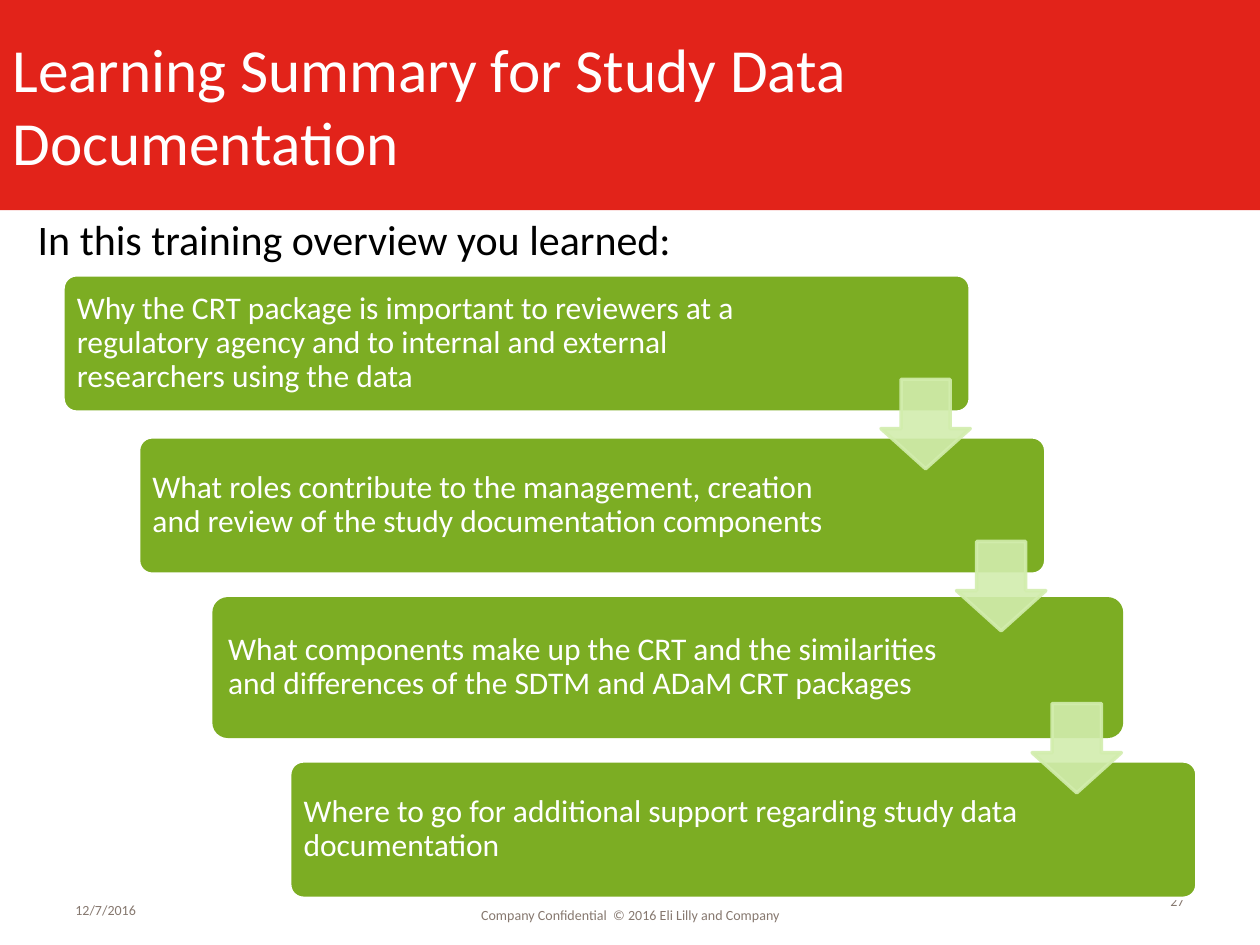
from dataclasses import dataclass

from lxml.etree import SubElement
from pptx import Presentation
from pptx.dml.color import RGBColor as Rgb
from pptx.enum.shapes import MSO_SHAPE as Kind
from pptx.enum.text import MSO_ANCHOR as Anchor, PP_ALIGN as Align
from pptx.oxml.ns import qn
from pptx.util import Cm, Pt


@dataclass(frozen=True)
class Theme:
    font: str = "Calibri"
    red: str = "E2231A"
    green: str = "7CAD23"
    pale: str = "D2EDAD"
    gray: str = "86786F"
    white: str = "FFFFFF"
    black: str = "000000"
    title: int = 35
    lead: int = 24
    step: int = 18
    foot: int = 8


T = Theme()
PAD = (0.25, 0.13, 0.25, 0.13)
STEPS = [
    "Why the CRT package is important to reviewers at a regulatory agency "
    "and to internal and external researchers using the data",
    "What roles contribute to the management, creation and review of the "
    "study documentation components",
    "What components make up the CRT and the similarities and differences "
    "of the SDTM and ADaM CRT packages",
    "Where to go for additional support regarding study data documentation",
]


def write(shape, text, size, color, align=Align.LEFT, anchor=Anchor.MIDDLE,
          pad=PAD, spacing=None):
    frame = shape.text_frame
    frame.word_wrap = True
    frame.vertical_anchor = anchor
    (frame.margin_left, frame.margin_top,
     frame.margin_right, frame.margin_bottom) = map(Cm, pad)
    para = frame.paragraphs[0]
    para.alignment = align
    para.line_spacing = spacing
    run = para.add_run()
    run.text = text
    font = run.font
    font.name, font.size = T.font, Pt(size)
    font.color.rgb = Rgb.from_string(color)


def label(slide, box, text, size, color, **style):
    write(slide.shapes.add_textbox(*map(Cm, box)), text, size, color, **style)


def draw(slide, kind, box, fill, line=None, alpha=None):
    shape = slide.shapes.add_shape(kind, *map(Cm, box))
    shape.shadow.inherit = False
    shape.fill.solid()
    shape.fill.fore_color.rgb = Rgb.from_string(fill)
    if line:
        shape.line.color.rgb = Rgb.from_string(line)
        shape.line.width = Pt(2)
    else:
        shape.line.fill.background()
    if alpha:
        for color in shape._element.spPr.iter(qn("a:srgbClr")):
            SubElement(color, qn("a:alpha"), val=str(alpha * 1000))
    return shape


def header(slide, box):
    x, y, w, h = box
    draw(slide, Kind.RECTANGLE, box, T.red)
    label(slide, (x, y + 0.2, 18.16, h - 0.43),
          "Learning Summary for Study Data Documentation", T.title, T.white)


def footer(slide, box):
    x, y, w, h = box
    side = 5.92
    label(slide, (x, y + 0.18, side, h), "12/7/2016", T.foot, T.gray)
    label(slide, (x + 7.42, y + 0.28, 8.05, h),
          "Company Confidential  © 2016 Eli Lilly and Company",
          T.foot, T.gray, align=Align.CENTER)
    label(slide, (x + w - side, y, side, h), "27", T.foot, T.gray,
          align=Align.RIGHT)


def stairs(slide, box):
    x, y, w, h = box
    wide, high, tip = 18.29, 2.77, 1.8
    last = len(STEPS) - 1
    dx, dy = (w - wide) / last, (h - high) / last
    # Lowest step first, so each arrow lies over the step it points to
    for i in reversed(range(len(STEPS))):
        left, top = x + i * dx, y + i * dy
        edge = T.green if i == 2 else T.white
        card = draw(slide, Kind.ROUNDED_RECTANGLE, (left, top, wide, high),
                    T.green, edge)
        card.adjustments[0] = 0.1
        write(card, STEPS[i], T.step, T.white, spacing=0.9,
              pad=(0.2, 0.2, 3.5 if i else 3.25, 0.2))
        if i < last:
            spot = (left + wide - tip, top + 2.11, tip, tip)
            arrow = draw(slide, Kind.DOWN_ARROW, spot, T.pale, T.pale, 90)
            arrow.adjustments[0] = 0.55
            arrow.adjustments[1] = 0.45


def main():
    deck = Presentation()
    deck.slide_width, deck.slide_height = Cm(25.4), Cm(19.05)
    slide = deck.slides.add_slide(deck.slide_layouts[6])
    header(slide, (0, 0, 25.4, 4.24))
    footer(slide, (1.27, 17.65, 22.86, 1.02))
    # Lead line above the steps
    label(slide, (0.51, 4.17, 14.94, 1.27),
          "In this training overview you learned:", T.lead, T.black,
          anchor=Anchor.TOP)
    stairs(slide, (1.27, 5.54, 22.86, 12.57))
    deck.save("out.pptx")


if __name__ == "__main__":
    main()
